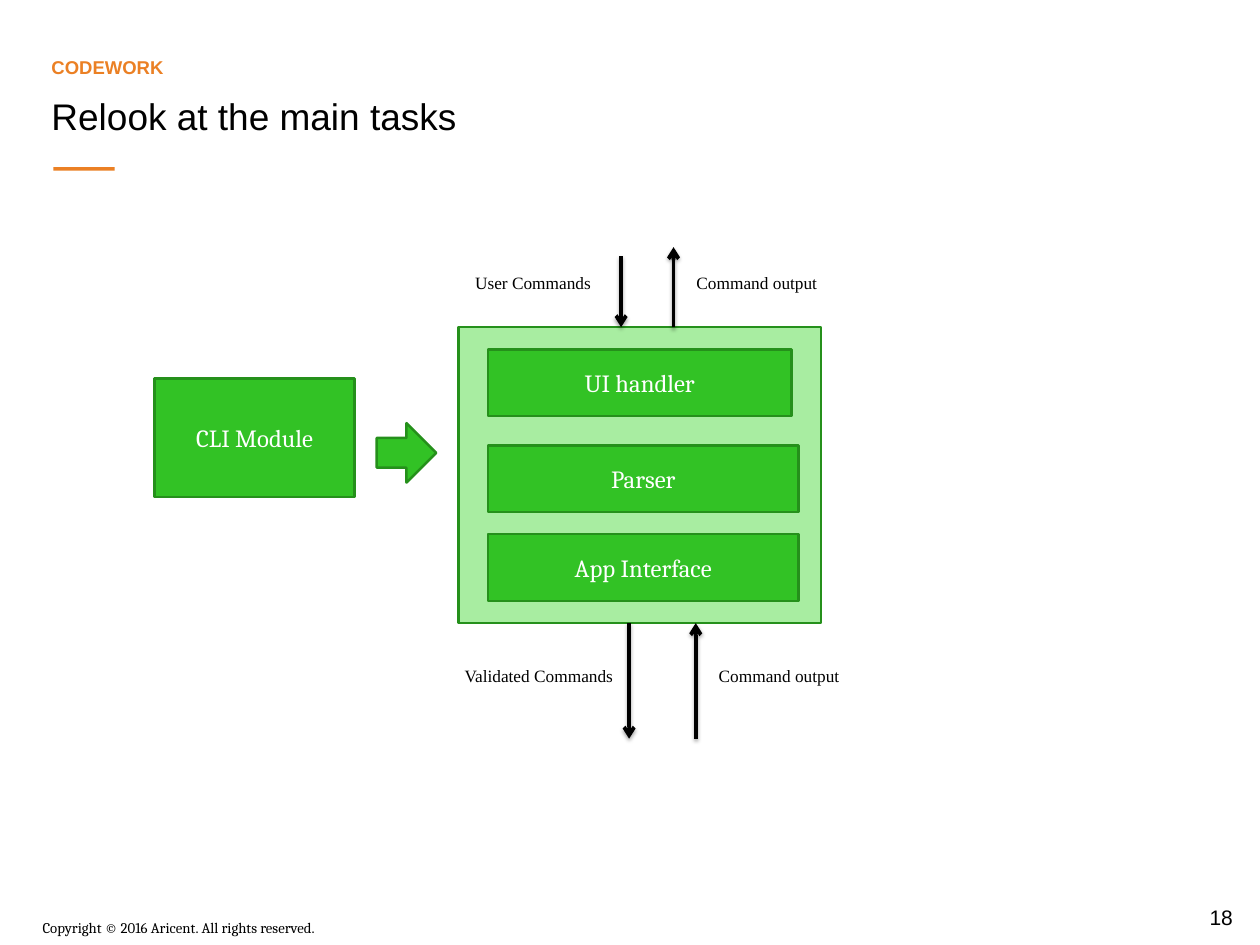
from dataclasses import dataclass

import pptx
import pptx.dml.color
import pptx.enum.shapes
import pptx.enum.text
import pptx.oxml
import pptx.oxml.ns
import pptx.util

Pt = pptx.util.Pt
Kind = pptx.enum.shapes.MSO_SHAPE
Align = pptx.enum.text.PP_ALIGN
Anchor = pptx.enum.text.MSO_ANCHOR


@dataclass(frozen=True)
class Theme:
    black: str = "000000"
    white: str = "FFFFFF"
    orange: str = "EB8024"
    green: str = "32C225"
    pale: str = "A8EDA1"
    edge: str = "25901B"
    sans: str = "Arial"
    serif: str = "Cambria"
    roman: str = "Times New Roman"
    title: float = 30
    block: float = 20
    page: float = 17
    kicker: float = 15
    label: float = 14
    foot: float = 12
    border: float = 2
    stroke: float = 3


THEME = Theme()


@dataclass(frozen=True)
class Box:
    left: float
    top: float
    width: float
    height: float

    def place(self) -> tuple:
        return tuple(Pt(n) for n in (self.left, self.top, self.width, self.height))


@dataclass(frozen=True)
class Label:
    text: str
    box: Box
    font: str
    size: float
    color: str = THEME.black
    align: Align = Align.LEFT
    anchor: Anchor = Anchor.TOP
    bold: bool = False


@dataclass(frozen=True)
class Block:
    box: Box
    text: str = ""
    kind: Kind = Kind.RECTANGLE
    fill: str = THEME.green
    edge: str = THEME.edge


@dataclass(frozen=True)
class Arrow:
    x: float
    start: float
    end: float


def paint(code: str) -> pptx.dml.color.RGBColor:
    return pptx.dml.color.RGBColor.from_string(code)


def write(shape, label: Label) -> None:
    frame = shape.text_frame
    frame.text = label.text
    frame.word_wrap = True
    frame.vertical_anchor = label.anchor
    line = frame.paragraphs[0]
    line.alignment = label.align
    font = line.runs[0].font
    font.name = label.font
    font.size = Pt(label.size)
    font.bold = label.bold
    font.color.rgb = paint(label.color)


def draw_label(slide, label: Label) -> None:
    write(slide.shapes.add_textbox(*label.box.place()), label)


def draw_block(slide, block: Block) -> None:
    shape = slide.shapes.add_shape(block.kind, *block.box.place())
    shape.shadow.inherit = False
    shape.fill.solid()
    shape.fill.fore_color.rgb = paint(block.fill)
    if block.edge:
        shape.line.color.rgb = paint(block.edge)
        shape.line.width = Pt(THEME.border)
    else:
        shape.line.fill.background()
    if block.text:
        write(shape, Label(block.text, block.box, THEME.serif, THEME.block,
                           THEME.white, Align.CENTER, Anchor.MIDDLE))


def draw_arrow(slide, arrow: Arrow) -> None:
    line = slide.shapes.add_connector(
        pptx.enum.shapes.MSO_CONNECTOR.STRAIGHT,
        Pt(arrow.x), Pt(arrow.start), Pt(arrow.x), Pt(arrow.end))
    line.line.color.rgb = paint(THEME.black)
    line.line.width = Pt(THEME.stroke)
    # Arrowhead and soft shadow
    space = pptx.oxml.ns.nsdecls("a")
    props = line._element.spPr
    props.find(pptx.oxml.ns.qn("a:ln")).append(
        pptx.oxml.parse_xml(f'<a:tailEnd {space} type="arrow"/>'))
    props.append(pptx.oxml.parse_xml(
        f'<a:effectLst {space}><a:outerShdw blurRad="{Pt(3.1)}" dist="{Pt(1.8)}" '
        f'dir="5400000" rotWithShape="0"><a:srgbClr val="{THEME.black}">'
        '<a:alpha val="35000"/></a:srgbClr></a:outerShdw></a:effectLst>'))


PANEL = Box(371.5, 265, 293.8, 239.7)
BASE = PANEL.top + PANEL.height
END = 598.3
ROW_LEFT, ROW_HIGH = 395.3, 54
HIGH_ROW, LOW_ROW = 216.7, 535
TAG_HIGH = 24.5

# Header, footer and page number
HEAD = [
    Label("CODEWORK", Box(34.6, 22.3, 801.4, 44.6), THEME.sans, THEME.kicker,
          THEME.orange, anchor=Anchor.BOTTOM, bold=True),
    Label("Relook at the main tasks", Box(34.6, 72, 801.4, 61.2),
          THEME.sans, THEME.title),
    Label("Copyright © 2016 Aricent. All rights reserved.",
          Box(27.4, 740.2, 510.5, 21.6), THEME.serif, THEME.foot),
    Label("18", Box(958.3, 728.6, 62.6, 28.1), THEME.sans, THEME.page,
          align=Align.CENTER, anchor=Anchor.MIDDLE),
]

# Accent rule, module, arrow and the panel with its layers
BLOCKS = [
    Block(Box(43.2, 135.4, 49.7, 2.9), fill=THEME.orange, edge=""),
    Block(PANEL, fill=THEME.pale),
    Block(Box(125.3, 306.7, 162, 95.8), "CLI Module"),
    Block(Box(305.3, 342.7, 48.2, 48.2), kind=Kind.RIGHT_ARROW),
] + [
    Block(Box(ROW_LEFT, top, width, ROW_HIGH), text)
    for text, top, width in (("UI handler", 283, 246.2),
                             ("Parser", 360.7, 252),
                             ("App Interface", 432.7, 252))
]

# Flows in and out of the panel
ARROWS = [
    Arrow(503.3, 207.4, PANEL.top),
    Arrow(545.8, PANEL.top, 200.2),
    Arrow(509.8, BASE, END),
    Arrow(563.8, END, BASE),
]
TAGS = [
    Label(text, Box(left, top, width, TAG_HIGH), THEME.roman, THEME.label,
          align=align)
    for text, left, top, width, align in (
        ("User Commands", 347.8, HIGH_ROW, 138.2, Align.RIGHT),
        ("Command output", 557.3, HIGH_ROW, 120.2, Align.LEFT),
        ("Validated Commands", 365.8, LOW_ROW, 138.2, Align.RIGHT),
        ("Command output", 575.3, LOW_ROW, 120.2, Align.LEFT))
]


def main() -> None:
    deck = pptx.Presentation()
    deck.slide_width, deck.slide_height = Pt(1021), Pt(765.4)
    slide = deck.slides.add_slide(deck.slide_layouts[6])
    for block in BLOCKS:
        draw_block(slide, block)
    for arrow in ARROWS:
        draw_arrow(slide, arrow)
    for label in HEAD + TAGS:
        draw_label(slide, label)
    deck.save("out.pptx")


if __name__ == "__main__":
    main()
